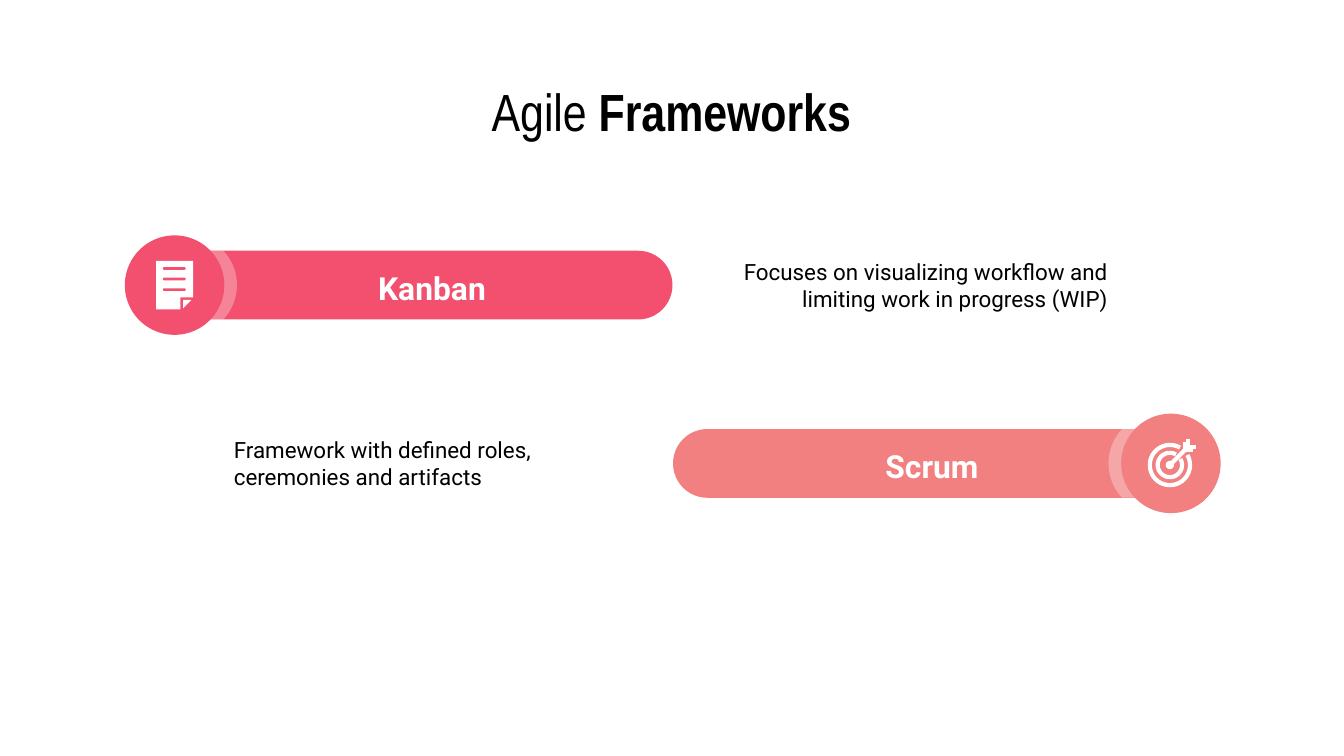
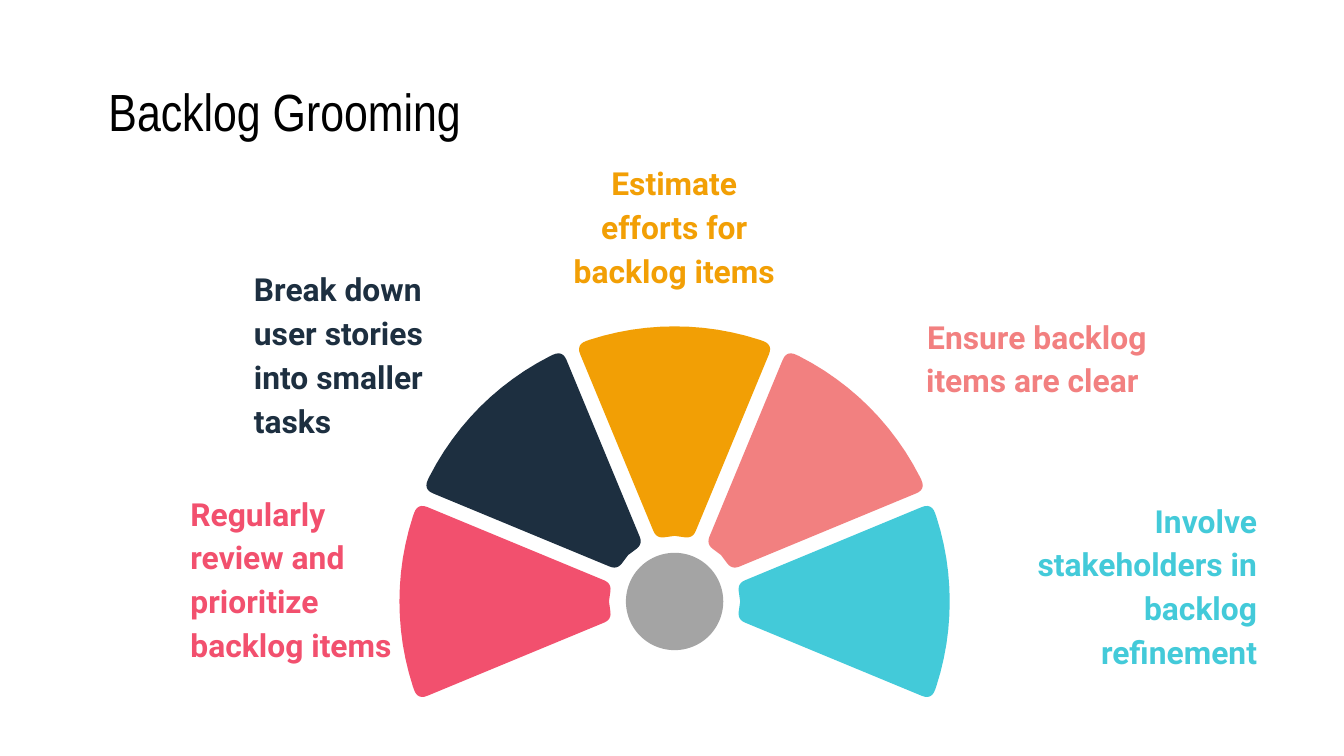
from math import asin, cos, degrees, radians, sin

from lxml.etree import SubElement
from pptx import Presentation
from pptx.dml.color import RGBColor
from pptx.enum.shapes import MSO_CONNECTOR, MSO_SHAPE
from pptx.enum.text import MSO_ANCHOR, MSO_AUTO_SIZE, PP_ALIGN
from pptx.oxml.ns import qn
from pptx.util import Cm, Pt

PINK, CORAL, NAVY = "F2506E", "F28080", "1D2F40"
ORANGE, CYAN, GRAY = "F29F05", "43CAD9", "A4A4A4"
WHITE, BLACK = "FFFFFF", "000000"
TITLE_FONT, BODY_FONT = "Arial Narrow", "Roboto"
LEFT, CENTER, RIGHT = PP_ALIGN.LEFT, PP_ALIGN.CENTER, PP_ALIGN.RIGHT
ICON_LINE = 2.25


def rgb(color):
    """Turn a hex string into a colour."""
    return RGBColor.from_string(color)


def write(sp, *runs, size=17, font=BODY_FONT, color=BLACK, align=LEFT, spacing=1.15):
    """Fill a shape with one paragraph of (text, bold) runs."""
    tf = sp.text_frame
    tf.word_wrap = True
    tf.auto_size = MSO_AUTO_SIZE.NONE
    tf.vertical_anchor = MSO_ANCHOR.MIDDLE
    tf.margin_left = tf.margin_right = tf.margin_top = tf.margin_bottom = Cm(0.25)
    p = tf.paragraphs[0]
    p.alignment, p.line_spacing = align, spacing
    for text, bold in runs:
        r = p.add_run()
        r.text = text
        r.font.size, r.font.name, r.font.bold = Pt(size), font, bold
        r.font.color.rgb = rgb(color)


def text_box(s, box, text, bold=True, **style):
    """Add a text box at the given left, top, width and height."""
    write(s.shapes.add_textbox(*map(Cm, box)), (text, bold), **style)


def paint(sp, color):
    """Give a shape a plain fill without line or shadow."""
    sp.shadow.inherit = False
    sp.fill.solid()
    sp.fill.fore_color.rgb = rgb(color)
    sp.line.fill.background()
    return sp


def preset(s, kind, box, color):
    """Add a plain preset shape."""
    return paint(s.shapes.add_shape(kind, *map(Cm, box)), color)


def pill(s, box, color):
    """Add a bar with fully rounded ends."""
    preset(s, MSO_SHAPE.ROUNDED_RECTANGLE, box, color).adjustments[0] = 0.5


def outline(s, points, close=True):
    """Build a freeform through points."""
    places = [(Cm(x), Cm(y)) for x, y in points]
    builder = s.shapes.build_freeform(*places[0])
    builder.add_line_segments(places[1:], close=close)
    return builder.convert_to_shape()


def arc(cx, cy, radius, start, end, steps):
    """List points on an arc, angles counted anticlockwise from the right."""
    angles = [radians(start + (end - start) * i / steps) for i in range(steps + 1)]
    return [(cx + radius * cos(a), cy - radius * sin(a)) for a in angles]


def toward(a, b, share):
    """Return the point a share of the way from a to b."""
    return tuple(m + (n - m) * share for m, n in zip(a, b))


def soften(before, corner, after, cut, steps=6):
    """Replace a corner by a curve that begins a cut away from it."""
    ends = []
    for near in (before, after):
        length = sum((m - n) ** 2 for m, n in zip(corner, near)) ** 0.5
        ends.append(toward(corner, near, cut / length))
    return [toward(toward(ends[0], corner, i / steps), toward(corner, ends[1], i / steps), i / steps)
            for i in range(steps + 1)]


def add_title(s, box, *runs, align=LEFT):
    """Place and write the slide title."""
    title = s.shapes.title
    title.left, title.top, title.width, title.height = map(Cm, box)
    write(title, *runs, size=28, font=TITLE_FONT, align=align, spacing=0.9)


def document_icon(s, cx, cy, color):
    """Draw a lined page with a folded corner."""
    x, y = cx - 0.35, cy - 0.46
    page = [(0, 0), (0.7, 0), (0.7, 0.69), (0.46, 0.69), (0.46, 0.92), (0, 0.92)]
    fold = [(0.51, 0.74), (0.67, 0.74), (0.51, 0.9)]
    for points in (page, fold):
        paint(outline(s, [(x + dx, y + dy) for dx, dy in points]), WHITE)
    for row in range(3):
        pill(s, (x + 0.13, y + 0.12 + 0.2 * row, 0.43, 0.05), color)


def icon_line(s, x1, y1, x2, y2):
    """Draw one white stroke."""
    c = s.shapes.add_connector(MSO_CONNECTOR.STRAIGHT, Cm(x1), Cm(y1), Cm(x2), Cm(y2))
    c.line.color.rgb = rgb(WHITE)
    c.line.width = Pt(ICON_LINE)
    SubElement(c._element.spPr, qn("a:effectLst"))


def target_icon(s, cx, cy, color):
    """Draw a target with an arrow in its middle."""
    x, y = cx - 0.02, cy + 0.03
    for radius in (0.38, 0.23):
        ring = outline(s, arc(x, y, radius, 60, 390, 40), close=False)
        ring.shadow.inherit = False
        ring.fill.background()
        ring.line.color.rgb = rgb(WHITE)
        ring.line.width = Pt(ICON_LINE)
    preset(s, MSO_SHAPE.OVAL, (x - 0.08, y - 0.08, 0.16, 0.16), WHITE)
    icon_line(s, x, y, x + 0.36, y - 0.36)
    for d in (0.28, 0.34):
        icon_line(s, x + d, y - d, x + d, y - d - 0.15)
        icon_line(s, x + d, y - d, x + d + 0.15, y - d)


def banner(s, box, name, color, icon, label_left, mirrored=False):
    """Draw a named bar with a round icon at its outer end."""
    left, top, width, height = box
    middle = top + height / 2

    def at(x, w=0):
        """Place a part counted from the icon end."""
        return left + (width - x - w if mirrored else x)

    bar_height = 1.3
    bar_top = middle - bar_height / 2
    bar_width = width - 0.48
    pill(s, (at(0.48, bar_width), bar_top, bar_width, bar_height), color)
    rim = [(1.04, bar_top + bar_height), *arc(1.17, middle, 0.95, -43, 43, 16), (1.04, bar_top)]
    glow = paint(outline(s, [(at(x), y) for x, y in rim]), WHITE)
    SubElement(glow._element.spPr.find(".//" + qn("a:srgbClr")), qn("a:alpha"), val="30000")
    preset(s, MSO_SHAPE.OVAL, (at(0, height), top, height, height), color)
    icon(s, at(height / 2), middle, color)
    text_box(s, (at(label_left, 4.65), top + 0.48, 4.65, 0.91), name, color=WHITE, align=CENTER)


def wedge(s, cx, cy, angle, color):
    """Draw a soft-cornered fan blade around an angle."""
    inner, outer, half_gap = 1.24, 5.2, 0.14
    near, far = (22.5 - degrees(asin(half_gap / r)) for r in (inner, outer))
    outer_arc = arc(cx, cy, outer, angle + far, angle - far, 14)
    inner_arc = arc(cx, cy, inner, angle - near, angle + near, 2)
    corners = outer_arc + inner_arc
    sharp = {outer_arc[0]: 0.2, outer_arc[-1]: 0.2, inner_arc[0]: 0.15, inner_arc[-1]: 0.15}
    points = []
    for i, corner in enumerate(corners):
        if corner in sharp:
            after = corners[(i + 1) % len(corners)]
            points += soften(corners[i - 1], corner, after, sharp[corner])
        else:
            points.append(corner)
    paint(outline(s, points), color)


def fan(s, cx, cy, colors):
    """Draw a half circle of blades around a hub."""
    hub = 0.92
    preset(s, MSO_SHAPE.OVAL, (cx - hub, cy - hub, 2 * hub, 2 * hub), GRAY)
    for i, color in enumerate(colors):
        wedge(s, cx, cy, 180 - 45 * i, color)


def frameworks_slide(s):
    """Compare two frameworks with mirrored banners."""
    add_title(s, (7.92, 1.5, 9.53, 1.35), ("Agile ", None), ("Frameworks", True), align=CENTER)
    banner(s, (12.72, 7.82, 10.35, 1.88), "Scrum", CORAL, target_icon, 3.13, mirrored=True)
    banner(s, (2.36, 4.45, 10.35, 1.88), "Kanban", PINK, document_icon, 3.48)
    for left, top, align, text in (
        (12.83, 4.74, RIGHT, "Focuses on visualizing workflow and limiting work in progress (WIP)"),
        (4.17, 8.11, LEFT, "Framework with defined roles, ceremonies and artifacts"),
    ):
        text_box(s, (left, top, 8.36, 1.3), text, bold=None, size=12, align=align, spacing=1)


def grooming_slide(s):
    """Show the grooming steps around a fan."""
    add_title(s, (1.8, 1.5, 9.1, 1.35), ("Backlog Grooming", None))
    steps = (
        ((3.35, 10.44, 4.67, 0.91), PINK, LEFT, "Regularly review and prioritize backlog items"),
        ((4.55, 6.2, 4.67, 0.91), NAVY, LEFT, "Break down user stories into smaller tasks"),
        ((10.41, 3.78, 4.67, 0.91), ORANGE, CENTER, "Estimate efforts for backlog items"),
        ((15.98, 5.74, 5.94, 1.96), CORAL, RIGHT, "Ensure backlog items are clear "),
        ((18.29, 10.44, 5.72, 1.17), CYAN, RIGHT, "Involve stakeholders in backlog refinement"),
    )
    fan(s, 12.75, 11.37, [color for _, color, _, _ in steps])
    for box, color, align, text in steps:
        text_box(s, box, text, color=color, align=align)


def main():
    """Build the deck."""
    prs = Presentation()
    prs.slide_width, prs.slide_height = Cm(25.4), Cm(14.29)
    for build in (frameworks_slide, grooming_slide):
        build(prs.slides.add_slide(prs.slide_layouts[5]))
    prs.save("out.pptx")


if __name__ == "__main__":
    main()
